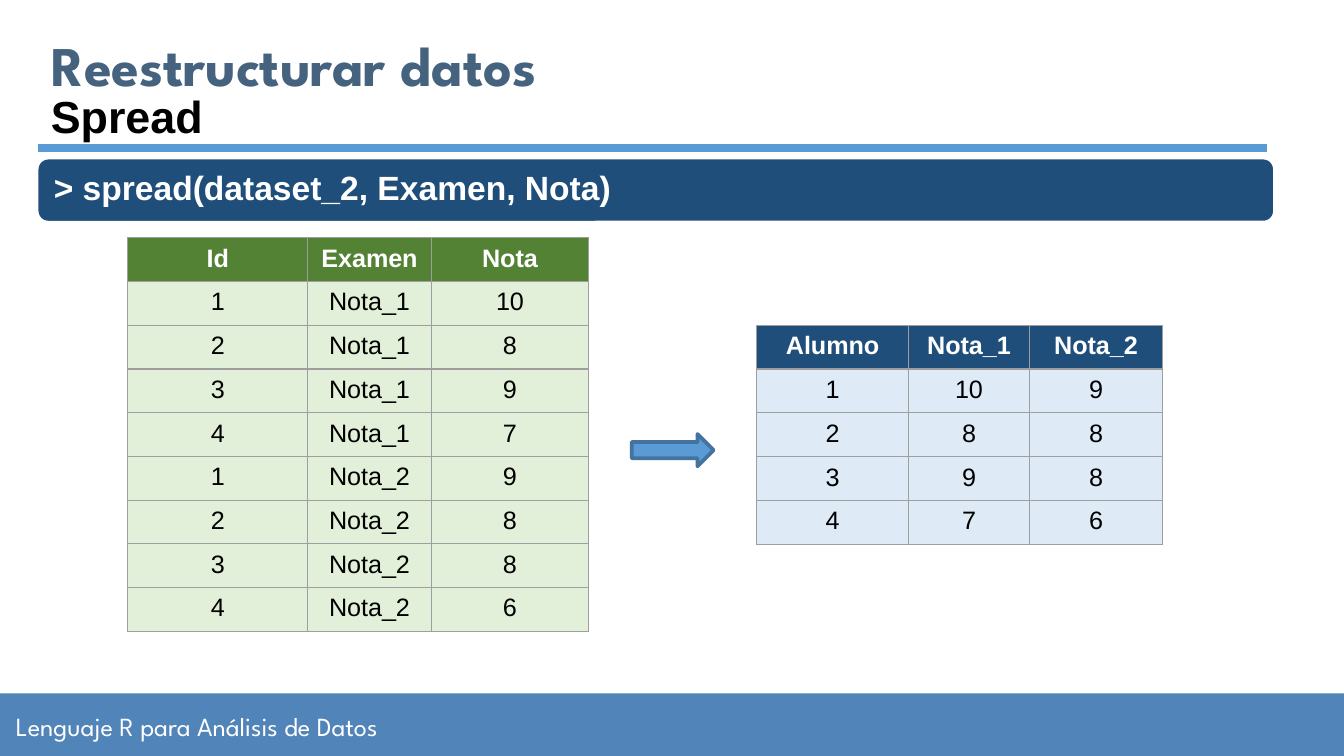
from dataclasses import dataclass

from lxml.etree import SubElement
from pptx import Presentation
from pptx.dml.color import RGBColor
from pptx.enum.shapes import MSO_CONNECTOR, MSO_SHAPE
from pptx.enum.text import MSO_ANCHOR, MSO_AUTO_SIZE, PP_ALIGN
from pptx.oxml import parse_xml
from pptx.oxml.ns import nsdecls, qn
from pptx.util import Inches, Pt

TITLE = "Reestructurar datos"
SUBTITLE = "Spread"
COMMAND = "> spread(dataset_2, Examen, Nota)"
FOOTER = "Lenguaje R para Análisis de Datos"

GRADES = {"Nota_1": [10, 8, 9, 7], "Nota_2": [9, 8, 8, 6]}
LONG_ROWS = [("Id", "Examen", "Nota")] + [
    (student, exam, grade)
    for exam, grades in GRADES.items()
    for student, grade in enumerate(grades, 1)
]
WIDE_ROWS = [("Alumno", *GRADES)] + [
    (student, *grades) for student, grades in enumerate(zip(*GRADES.values()), 1)
]


@dataclass(frozen=True)
class Theme:
    display: str = "League Spartan"
    body: str = "Arial"
    title: str = "45637F"
    white: str = "FFFFFF"
    black: str = "000000"
    footer: str = "5184B9"
    accent: str = "5B9BD5"
    accent_edge: str = "43739E"
    navy: str = "1E4E79"
    pale_blue: str = "DEEBF7"
    green: str = "548235"
    pale_green: str = "E2F0D9"
    border: str = "9E9E9E"
    title_size: float = 30
    subtitle_size: float = 24
    command_size: float = 18
    footer_size: float = 14
    table_size: float = 13.5


T = Theme()


def rgb(color):
    return RGBColor.from_string(color)


def place(sp, left, top, width, height):
    sp.left, sp.top, sp.width, sp.height = map(Inches, (left, top, width, height))


def write(tf, text, font, size, color, bold=False, align=PP_ALIGN.LEFT):
    tf.text = str(text)
    p = tf.paragraphs[0]
    p.alignment = align
    p.font.name, p.font.size, p.font.bold = font, Pt(size), bold
    p.font.color.rgb = rgb(color)
    return p


def frame(sp, inset_x, inset_y, anchor):
    tf = sp.text_frame
    tf.word_wrap = True
    tf.auto_size = MSO_AUTO_SIZE.NONE
    tf.margin_left = tf.margin_right = Inches(inset_x)
    tf.margin_top = tf.margin_bottom = Inches(inset_y)
    tf.vertical_anchor = anchor
    return tf


def add_shape(s, kind, box, fill, line=None, weight=1):
    sp = s.shapes.add_shape(kind, *map(Inches, box))
    sp.shadow.inherit = False
    sp.fill.solid()
    sp.fill.fore_color.rgb = rgb(fill)
    if line:
        sp.line.color.rgb = rgb(line)
        sp.line.width = Pt(weight)
    else:
        sp.line.fill.background()
    return sp


def add_textbox(s, box, inset_x, inset_y, anchor):
    return frame(s.shapes.add_textbox(*map(Inches, box)), inset_x, inset_y, anchor)


def set_borders(cell):
    tc_pr = cell._tc.get_or_add_tcPr()
    for i, side in enumerate(("lnL", "lnR", "lnT", "lnB")):
        tc_pr.insert(i, parse_xml(
            f'<a:{side} {nsdecls("a")} w="{Pt(0.75)}"><a:solidFill>'
            f'<a:srgbClr val="{T.border}"/></a:solidFill></a:{side}>'))


def add_data_table(s, rows, left, top, height, widths, head_fill, body_fill):
    box = map(Inches, (left, top, sum(widths), height))
    table = s.shapes.add_table(len(rows), len(widths), *box).table
    for column, width in zip(table.columns, widths):
        column.width = Inches(width)
    for r, values in enumerate(rows):
        head = r == 0
        for c, value in enumerate(values):
            cell = table.cell(r, c)
            cell.fill.solid()
            cell.fill.fore_color.rgb = rgb(head_fill if head else body_fill)
            write(cell.text_frame, value, T.body, T.table_size,
                  T.white if head else T.black, head, PP_ALIGN.CENTER)
            set_borders(cell)


def add_rule(s, left, right, y):
    line = s.shapes.add_connector(
        MSO_CONNECTOR.STRAIGHT, *map(Inches, (left, y, right, y)))
    line.line.color.rgb = rgb(T.accent)
    line.line.width = Pt(4.5)
    SubElement(line._element.spPr, qn("a:effectLst"))


def main():
    prs = Presentation()
    prs.slide_width = Inches(10)
    prs.slide_height = prs.slide_width * 9 // 16
    s = prs.slides.add_slide(prs.slide_layouts[5])

    add_shape(s, MSO_SHAPE.RECTANGLE, (0, 5.16, 10, 0.47), T.footer)
    tf = add_textbox(s, (0.02, 5.17, 4.97, 0.47), 0.1, 0.1, MSO_ANCHOR.MIDDLE)
    write(tf, FOOTER, T.display, T.footer_size, T.white)

    title = s.shapes.title
    place(title, 0.28, 0.22, 6.59, 0.51)
    write(frame(title, 0.1, 0.1, MSO_ANCHOR.MIDDLE),
          TITLE, T.display, T.title_size, T.title, True)

    add_shape(s, MSO_SHAPE.ROUNDED_RECTANGLE, (0.28, 1.18, 9.2, 0.47),
              T.navy, T.white)
    tf = add_textbox(s, (0.32, 1.2, 9.11, 0.42), 0.08, 0.08, MSO_ANCHOR.MIDDLE)
    p = write(tf, COMMAND, T.body, T.command_size, T.white, True)
    p.line_spacing = 0.9

    tf = add_textbox(s, (0.28, 0.61, 9.35, 0.5), 0.1, 0.05, MSO_ANCHOR.TOP)
    write(tf, SUBTITLE, T.body, T.subtitle_size, T.black, True)
    add_rule(s, 0.28, 9.43, 1.1)

    add_data_table(s, WIDE_ROWS, 5.63, 2.42, 1.63, (1.13, 0.9, 0.99),
                   T.navy, T.pale_blue)
    add_data_table(s, LONG_ROWS, 0.95, 1.77, 2.93, (1.34, 0.92, 1.17),
                   T.green, T.pale_green)
    add_shape(s, MSO_SHAPE.RIGHT_ARROW, (4.7, 3.23, 0.61, 0.24),
              T.accent, T.accent_edge, 2)

    prs.save("out.pptx")


if __name__ == "__main__":
    main()
